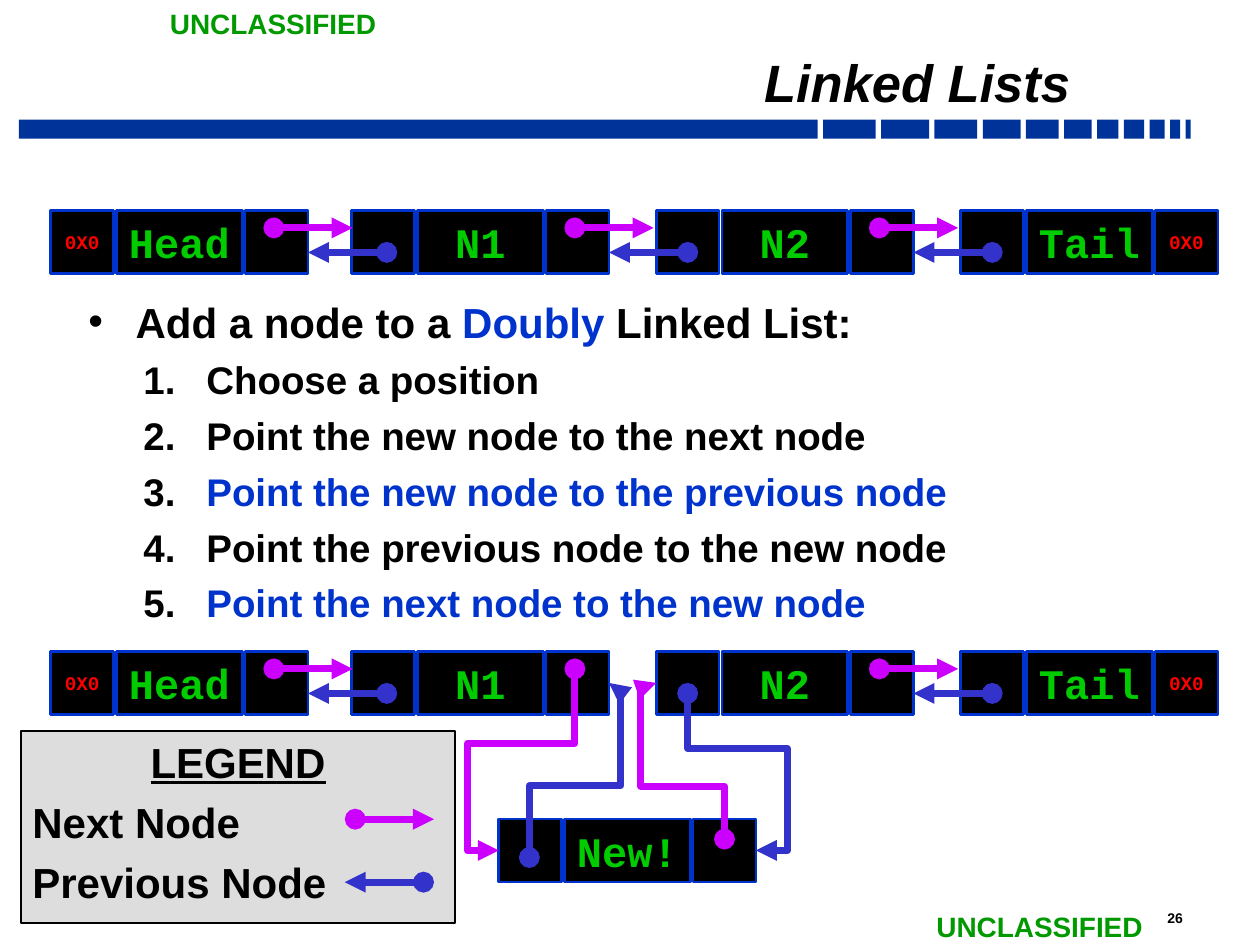
from pptx import Presentation
from pptx.dml.color import RGBColor
from pptx.enum.shapes import MSO_CONNECTOR, MSO_SHAPE
from pptx.enum.text import MSO_ANCHOR, PP_ALIGN
from pptx.oxml.ns import qn
from pptx.util import Pt
from lxml import etree

RECT = MSO_SHAPE.RECTANGLE
STRAIGHT, ELBOW = MSO_CONNECTOR.STRAIGHT, MSO_CONNECTOR.ELBOW
LEFT, CENTER, RIGHT = PP_ALIGN.LEFT, PP_ALIGN.CENTER, PP_ALIGN.RIGHT
TOP, MIDDLE, BOTTOM = MSO_ANCHOR.TOP, MSO_ANCHOR.MIDDLE, MSO_ANCHOR.BOTTOM

BLACK = RGBColor(0x00, 0x00, 0x00)
NAVY = RGBColor(0x00, 0x33, 0x99)
BLUE = RGBColor(0x00, 0x33, 0xCC)
GREEN = RGBColor(0x00, 0x99, 0x00)
LIME = RGBColor(0x00, 0xCC, 0x00)
RED = RGBColor(0xFF, 0x00, 0x00)
GREY = RGBColor(0xDD, 0xDD, 0xDD)
NEXT_COLOR = RGBColor(0xCC, 0x00, 0xFF)
PREV_COLOR = RGBColor(0x33, 0x33, 0xCC)

NEXT_ENDS = ("oval", "triangle")
PREV_ENDS = ("triangle", "oval")
SANS, MONO = "Arial", "Courier New"
CELL, DATA, CELL_GAP = 36, 72, 1.5
NODE_WIDTH = 2 * CELL + DATA + 2 * CELL_GAP
NODE_LEFTS = (29, 201, 375, 549)
NODE_NAMES = ("Head", "N1", "N2", "Tail")
ARROW = 45


def style_run(r, size, color, font=SANS):
    r.font.name, r.font.size, r.font.bold = font, Pt(size), True
    r.font.color.rgb = color


def add_rect(s, x, y, w, h, fill, line=None, line_width=1.5):
    sp = s.shapes.add_shape(RECT, Pt(x), Pt(y), Pt(w), Pt(h))
    sp.shadow.inherit = False
    sp.fill.solid()
    sp.fill.fore_color.rgb = fill
    if line is None:
        sp.line.fill.background()
    else:
        sp.line.color.rgb = line
        sp.line.width = Pt(line_width)
    return sp


def add_label(s, x, y, w, h, text, size, color, align=LEFT, anchor=TOP):
    tf = s.shapes.add_textbox(Pt(x), Pt(y), Pt(w), Pt(h)).text_frame
    tf.word_wrap = True
    tf.vertical_anchor = anchor
    p = tf.paragraphs[0]
    p.text = text
    p.alignment = align
    style_run(p.runs[0], size, color)
    return p


def style_line(cxn, color, ends):
    cxn.line.color.rgb = color
    cxn.line.width = Pt(4)
    ln = cxn.line._get_or_add_ln()
    for tag, kind in zip(("a:headEnd", "a:tailEnd"), ends):
        etree.SubElement(ln, qn(tag), type=kind)
    etree.SubElement(cxn._element.spPr, qn("a:effectLst"))


def add_arrow(s, x, y, color, ends):
    cxn = s.shapes.add_connector(STRAIGHT, Pt(x), Pt(y), Pt(x + ARROW), Pt(y))
    style_line(cxn, color, ends)


def add_elbow(s, start, end, turn, adjusts, color, ends):
    """Four-segment elbow; turn is 0, 90 or 270 for a first leg across, down or up."""
    (x1, y1), (x2, y2) = start, end
    dx, dy = x2 - x1, y2 - y1
    a, b = {0: (dx, dy), 90: (dy, -dx), 270: (-dy, dx)}[turn]
    cx, cy = (x1 + x2) / 2, (y1 + y2) / 2
    cxn = s.shapes.add_connector(ELBOW, Pt(cx - a / 2), Pt(cy - b / 2),
                                 Pt(cx + a / 2), Pt(cy + b / 2))
    sp_pr = cxn._element.spPr
    if turn:
        sp_pr.find(qn("a:xfrm")).set("rot", str(turn * 60000))
    geom = sp_pr.find(qn("a:prstGeom"))
    geom.set("prst", "bentConnector4")
    guides = geom.find(qn("a:avLst"))
    if guides is None:
        guides = etree.SubElement(geom, qn("a:avLst"))
    for i, value in enumerate(adjusts, 1):
        etree.SubElement(guides, qn("a:gd"), name=f"adj{i}",
                         fmla=f"val {round(value * 100000)}")
    style_line(cxn, color, ends)


def add_header(s, x, y):
    # Title above a bar that breaks into ever shorter pieces
    p = add_label(s, x + 109, y - 43, 499, 42, "Linked Lists", 30, BLACK, RIGHT, BOTTOM)
    p.line_spacing = 0.7
    p.runs[0].font.italic = True
    for w in (456.5, 30, 27.4, 24.5, 21.6, 18.7, 15.8, 12.2, 11.5, 8.6, 5.8, 2.9):
        add_rect(s, x, y, w, 10.8, NAVY)
        x += w + 3.1


def add_marks(s):
    # Classification marks and page number
    for x, y in ((90, 0), (528, 516)):
        add_label(s, x, y, 134, 27, "UNCLASSIFIED", 16, GREEN)
    add_label(s, 660, 516, 39, 17, "26", 8, BLACK)


def add_node(s, x, y, name):
    data_x = x + CELL + CELL_GAP
    cells = (
        (x, CELL, "0X0" if name == "Head" else "", 11, RED),
        (data_x, DATA, name, 24, LIME),
        (data_x + DATA + CELL_GAP, CELL, "0X0" if name == "Tail" else "", 11, RED),
    )
    for left, w, text, size, color in cells:
        sp = add_rect(s, left, y, w, CELL, BLACK, BLUE)
        if text:
            tf = sp.text_frame
            tf.text = text
            tf.word_wrap = False
            tf.vertical_anchor = MIDDLE
            tf.paragraphs[0].alignment = CENTER
            style_run(tf.paragraphs[0].runs[0], size, color, MONO)


def add_list(s, y, linked):
    """Row of nodes; linked names the nodes that point to their neighbour."""
    for x, name in zip(NODE_LEFTS, NODE_NAMES):
        add_node(s, x, y, name)
    for x, name in zip(NODE_LEFTS, NODE_NAMES):
        if name in linked:
            add_arrow(s, x + 127.5, y + 10, NEXT_COLOR, NEXT_ENDS)
            add_arrow(s, x + NODE_WIDTH, y + 24, PREV_COLOR, PREV_ENDS)


def add_steps(s, x, y, w, h):
    tf = s.shapes.add_textbox(Pt(x), Pt(y), Pt(w), Pt(h)).text_frame
    tf.word_wrap = True
    tf.margin_left = tf.margin_right = Pt(6.5)
    tf.margin_top = tf.margin_bottom = Pt(3)
    lines = (
        (("Add a node to a ", BLACK), ("Doubly", BLUE), (" Linked List:", BLACK)),
        (("Choose a position", BLACK),),
        (("Point the new node to the next node", BLACK),),
        (("Point the new node to the previous node", BLUE),),
        (("Point the previous node to the new node", BLACK),),
        (("Point the next node to the new node", BLUE),),
    )
    for i, parts in enumerate(lines):
        p = tf.add_paragraph() if i else tf.paragraphs[0]
        p.space_before = Pt(5.5)
        p.level = 1 if i else 0
        for text, color in parts:
            r = p.add_run()
            r.text = text
            style_run(r, 22 if i else 24, color)
        # Bullet for the heading, numbers for the steps
        p_pr = p._p.get_or_add_pPr()
        margin, indent = (67.5, 36) if i else (27, 27)
        p_pr.set("marL", str(Pt(margin)))
        p_pr.set("indent", str(-Pt(indent)))
        bullet_color = etree.SubElement(p_pr, qn("a:buClr"))
        etree.SubElement(bullet_color, qn("a:srgbClr"), val=str(BLACK))
        etree.SubElement(p_pr, qn("a:buFont"), typeface=SANS)
        if i:
            etree.SubElement(p_pr, qn("a:buAutoNum"), type="arabicPeriod")
        else:
            etree.SubElement(p_pr, qn("a:buChar"), char="•")


def add_legend(s, x, y, w, h):
    tf = add_rect(s, x, y, w, h, GREY, BLACK, 1).text_frame
    tf.word_wrap = True
    tf.vertical_anchor = TOP
    tf.margin_left = tf.margin_right = Pt(6.5)
    tf.margin_top = tf.margin_bottom = Pt(3)
    tf.text = "LEGEND\nNext Node\nPrevious Node"
    for i, p in enumerate(tf.paragraphs):
        p.alignment = LEFT if i else CENTER
        p.space_before = Pt(5.5)
        style_run(p.runs[0], 24, BLACK)
        p.runs[0].font.underline = i == 0
    add_arrow(s, x + 191, y + 50.5, NEXT_COLOR, NEXT_ENDS)
    add_arrow(s, x + 185, y + 86.5, PREV_COLOR, PREV_ENDS)


def add_insertion(s, x, y, row_y):
    # New node between N1 and N2, linked both ways
    n1, n2 = NODE_LEFTS[1:3]
    mid_y, row_mid = y + CELL / 2, row_y + CELL / 2
    add_node(s, x, y, "New!")
    add_elbow(s, (n1 + 127.5, row_y + 10), (x, mid_y), 90, (0.41, 1.41),
              NEXT_COLOR, NEXT_ENDS)
    add_elbow(s, (n1 + NODE_WIDTH, row_mid), (x + 17.5, y + 22), 0, (-0.15, 0.59),
              PREV_COLOR, PREV_ENDS)
    add_elbow(s, (x + 129, y + 11.5), (n2, row_mid), 270, (0.34, 1.23),
              NEXT_COLOR, NEXT_ENDS)
    add_elbow(s, (x + NODE_WIDTH, mid_y), (n2 + CELL / 2, row_y + 24), 0, (-0.46, 0.65),
              PREV_COLOR, PREV_ENDS)


def main():
    prs = Presentation()
    prs.slide_width, prs.slide_height = Pt(720), Pt(540)
    s = prs.slides.add_slide(prs.slide_layouts[6])
    add_header(s, 10.8, 68.4)
    add_marks(s)
    add_steps(s, 44, 166.3, 653, 205)
    add_list(s, 120.25, ("Head", "N1", "N2"))
    add_legend(s, 12, 417.6, 248, 110)
    add_list(s, 372.25, ("Head", "N2"))
    add_insertion(s, 285, 468, 372.25)
    prs.save("out.pptx")


if __name__ == "__main__":
    main()
